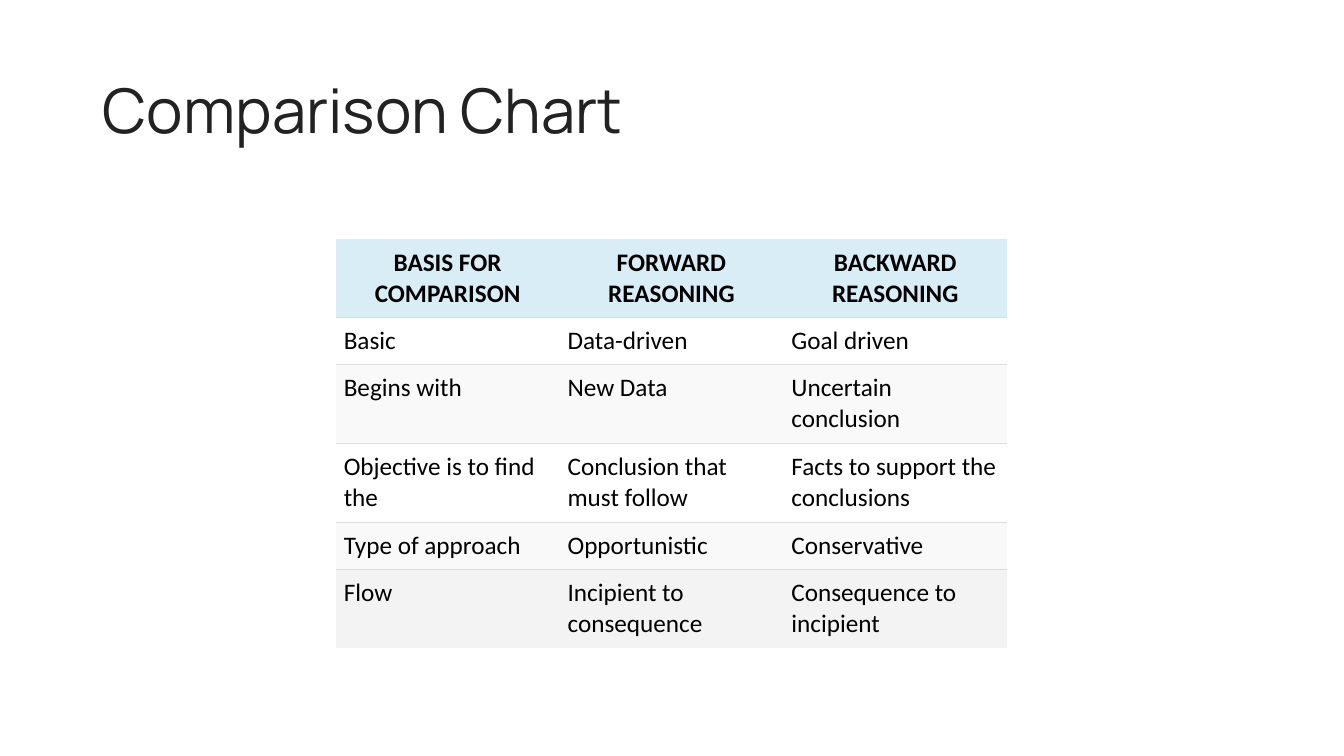
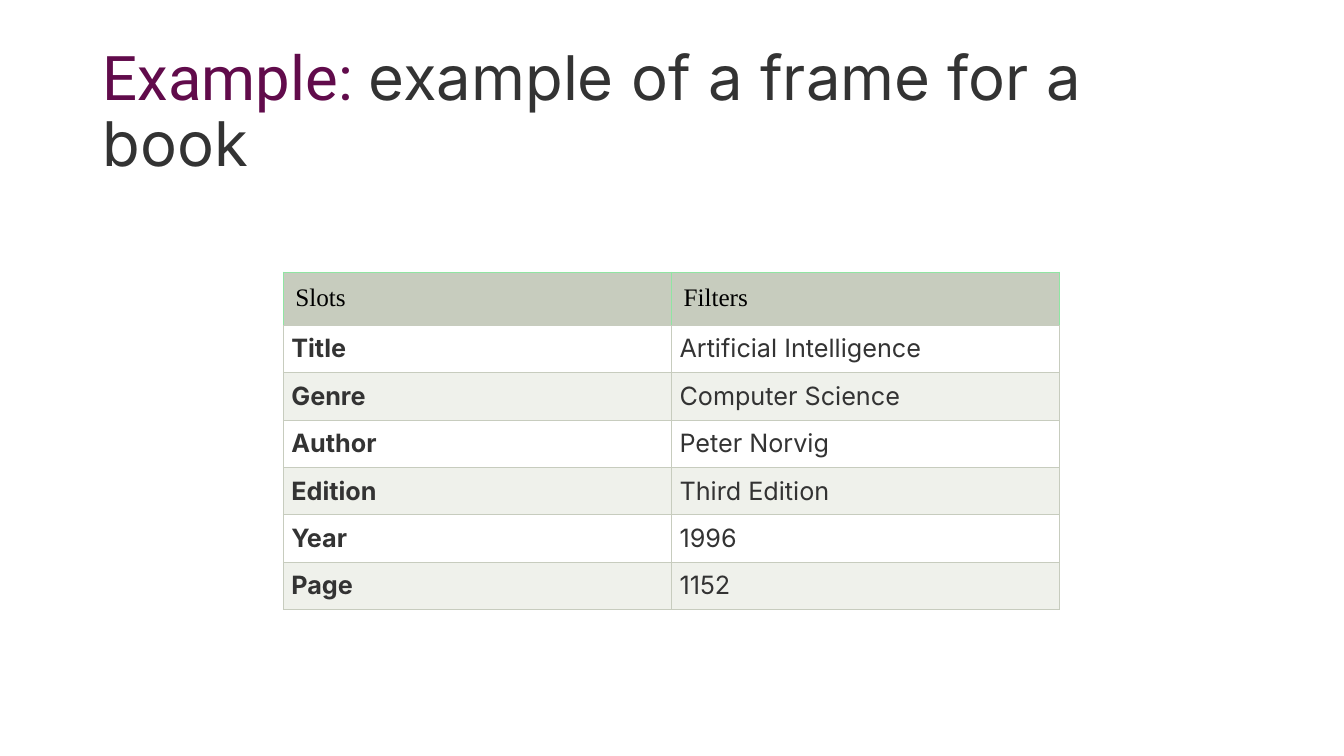
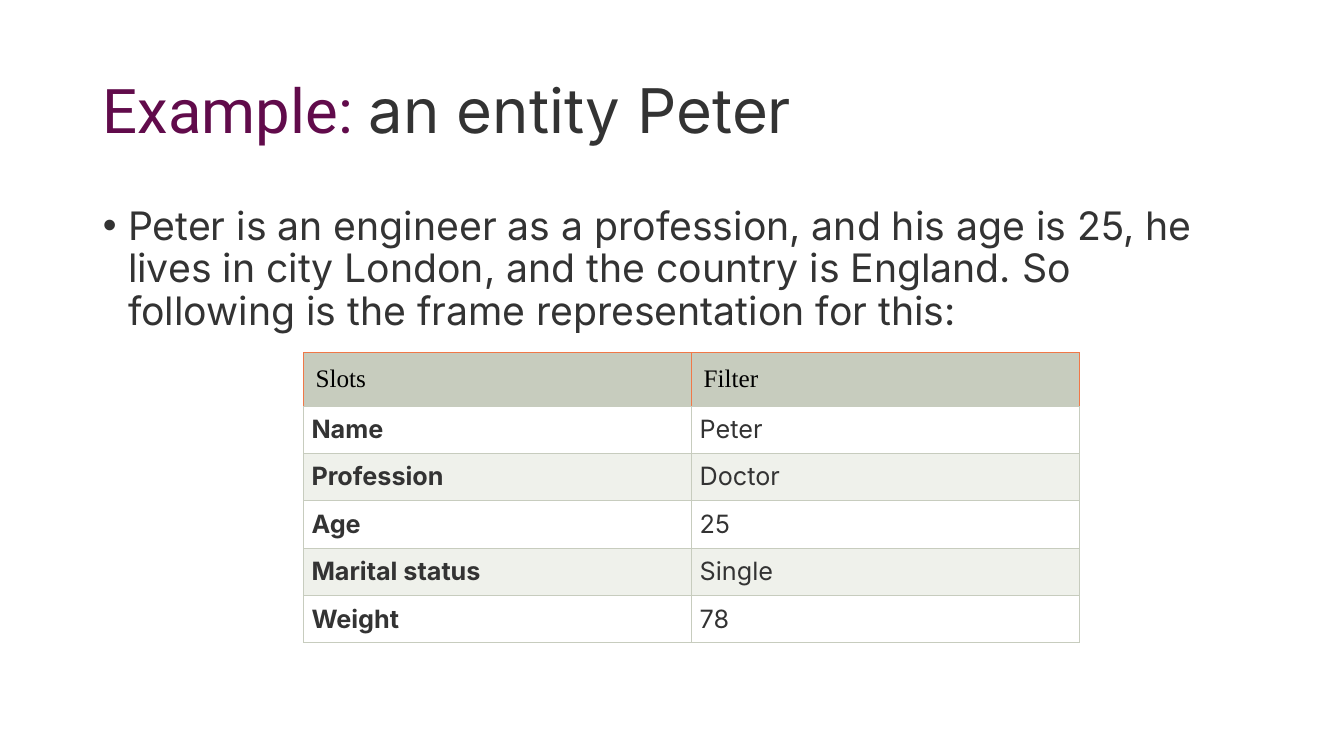
from dataclasses import dataclass
from typing import Optional

from lxml.etree import SubElement
from pptx import Presentation
from pptx.dml.color import RGBColor
from pptx.enum.text import MSO_ANCHOR, MSO_AUTO_SIZE, PP_ALIGN
from pptx.oxml.ns import qn
from pptx.util import Inches, Pt


@dataclass(frozen=True)
class Theme:
    white: str = "FFFFFF"
    black: str = "000000"
    ink: str = "222222"
    text: str = "333333"
    accent: str = "610B4B"
    sky: str = "D9EDF7"
    rule: str = "DDDDDD"
    stripe: str = "F9F9F9"
    last: str = "F3F3F3"
    sage: str = "C7CCBE"
    pale_sage: str = "EFF1EB"
    green: str = "90E5A3"
    orange: str = "F07848"
    title_size: int = 44
    body_size: int = 28
    table_size: int = 18
    border: float = 0.75


THEME = Theme()


@dataclass(frozen=True)
class Font:
    name: str
    size: int
    color: str
    bold: bool = False


@dataclass(frozen=True)
class Span:
    text: str
    font: Font


@dataclass(frozen=True)
class Edges:
    left: Optional[str] = None
    right: Optional[str] = None
    top: Optional[str] = None
    bottom: Optional[str] = None


@dataclass(frozen=True)
class CellStyle:
    font: Font
    fill: str
    edges: Edges
    inset: float = 0.08
    align: PP_ALIGN = PP_ALIGN.LEFT
    anchor: MSO_ANCHOR = MSO_ANCHOR.TOP


@dataclass(frozen=True)
class Row:
    texts: tuple
    styles: tuple
    height: float


TITLE_INK = Font("Manrope", THEME.title_size, THEME.ink)
TITLE_ACCENT = Font("Roboto", THEME.title_size, THEME.accent)
TITLE_TEXT = Font("Inter", THEME.title_size, THEME.text)
BODY_TEXT = Font("Inter", THEME.body_size, THEME.text)
SHORT_ROW, TALL_ROW, HEADER_ROW = 0.47, 0.78, 0.53


def add_run(p, span: Span) -> None:
    r = p.add_run()
    r.text = span.text
    r.font.name = span.font.name
    r.font.size = Pt(span.font.size)
    r.font.bold = span.font.bold
    r.font.color.rgb = RGBColor.from_string(span.font.color)


def fill_placeholder(sp, top: float, height: float, anchor: MSO_ANCHOR, spans: list[Span]):
    sp.left, sp.top = Inches(0.92), Inches(top)
    sp.width, sp.height = Inches(11.5), Inches(height)
    tf = sp.text_frame
    tf.word_wrap = True
    tf.auto_size = MSO_AUTO_SIZE.NONE
    tf.vertical_anchor = anchor
    p = tf.paragraphs[0]
    p.alignment = PP_ALIGN.LEFT
    p.line_spacing = 0.9
    for span in spans:
        add_run(p, span)
    return p


def add_slide(prs, layout: int, title: list[Span]):
    s = prs.slides.add_slide(prs.slide_layouts[layout])
    fill_placeholder(s.shapes.title, 0.4, 1.45, MSO_ANCHOR.MIDDLE, title)
    return s


def add_bullet(s, text: str) -> None:
    p = fill_placeholder(s.placeholders[1], 2, 4.76, MSO_ANCHOR.TOP, [Span(text, BODY_TEXT)])
    p.space_before = Pt(10)
    pPr = p._p.get_or_add_pPr()
    pPr.set("marL", str(Inches(0.25)))
    pPr.set("indent", str(-Inches(0.25)))
    SubElement(pPr, qn("a:buFont"), typeface="Arial")
    SubElement(pPr, qn("a:buChar"), char="•")


def set_edges(cell, edges: Edges) -> None:
    tcPr = cell._tc.get_or_add_tcPr()
    sides = (("L", edges.left), ("R", edges.right), ("T", edges.top), ("B", edges.bottom))
    for side, color in sides:
        ln = SubElement(tcPr, qn(f"a:ln{side}"), w=str(Pt(THEME.border)))
        if color is None:
            SubElement(ln, qn("a:noFill"))
        else:
            fill = SubElement(ln, qn("a:solidFill"))
            SubElement(fill, qn("a:srgbClr"), val=color)


def fill_cell(cell, text: str, style: CellStyle) -> None:
    set_edges(cell, style.edges)
    cell.fill.solid()
    cell.fill.fore_color.rgb = RGBColor.from_string(style.fill)
    inset = Inches(style.inset)
    cell.margin_left = cell.margin_right = cell.margin_top = cell.margin_bottom = inset
    cell.vertical_anchor = style.anchor
    p = cell.text_frame.paragraphs[0]
    p.alignment = style.align
    add_run(p, Span(text, style.font))


def add_grid(s, left: float, top: float, col_width: float, rows: list[Row]) -> None:
    cols = len(rows[0].texts)
    height = sum(row.height for row in rows)
    table = s.shapes.add_table(
        len(rows), cols, Inches(left), Inches(top), Inches(col_width * cols), Inches(height)
    ).table
    table.first_row = table.horz_banding = False
    for col in table.columns:
        col.width = Inches(col_width)
    for i, row in enumerate(rows):
        table.rows[i].height = Inches(row.height)
        for j, (text, style) in enumerate(zip(row.texts, row.styles)):
            fill_cell(table.cell(i, j), text, style)


def comparison_rows(header: tuple, body: list[tuple[tuple, float]]) -> list[Row]:
    head = CellStyle(
        Font("Calibri", THEME.table_size, THEME.black, True), THEME.sky,
        Edges(bottom=THEME.rule), align=PP_ALIGN.CENTER, anchor=MSO_ANCHOR.MIDDLE,
    )
    rows = [Row(header, (head,) * len(header), TALL_ROW)]
    font = Font("Calibri", THEME.table_size, THEME.black)
    for i, (texts, height) in enumerate(body):
        if i == len(body) - 1:
            style = CellStyle(font, THEME.last, Edges(top=THEME.rule))
        else:
            fill = THEME.stripe if i % 2 else THEME.white
            style = CellStyle(font, fill, Edges(top=THEME.rule, bottom=THEME.rule))
        rows.append(Row(texts, (style,) * len(texts), height))
    return rows


def frame_rows(header: tuple, edge: str, body: list[tuple]) -> list[Row]:
    head = CellStyle(
        Font("Times New Roman", THEME.table_size, THEME.black), THEME.sage,
        Edges(edge, edge, edge, THEME.sage), inset=0.12,
    )
    rows = [Row(header, (head, head), HEADER_ROW)]
    box = Edges(THEME.sage, THEME.sage, THEME.sage, THEME.sage)
    for i, texts in enumerate(body):
        fill = THEME.pale_sage if i % 2 else THEME.white
        styles = tuple(
            CellStyle(Font("Inter", THEME.table_size, THEME.text, bold), fill, box,
                      align=PP_ALIGN.JUSTIFY)
            for bold in (True, False)
        )
        rows.append(Row(texts, styles, SHORT_ROW))
    return rows


def add_comparison_slide(prs) -> None:
    s = add_slide(prs, 5, [Span("Comparison Chart", TITLE_INK)])
    add_grid(s, 3.33, 2.37, 2.22, comparison_rows(
        ("BASIS FOR COMPARISON", "FORWARD REASONING", "BACKWARD REASONING"),
        [
            (("Basic", "Data-driven", "Goal driven"), SHORT_ROW),
            (("Begins with", "New Data", "Uncertain conclusion"), TALL_ROW),
            (("Objective is to find the", "Conclusion that must follow",
              "Facts to support the conclusions"), TALL_ROW),
            (("Type of approach", "Opportunistic", "Conservative"), SHORT_ROW),
            (("Flow", "Incipient to consequence", "Consequence to incipient"), TALL_ROW),
        ],
    ))


def add_book_slide(prs) -> None:
    s = add_slide(prs, 5, [
        Span("Example: ", TITLE_ACCENT),
        Span("example of a frame for a book", TITLE_TEXT),
    ])
    add_grid(s, 2.81, 2.7, 3.85, frame_rows(("Slots", "Filters"), THEME.green, [
        ("Title", "Artificial Intelligence"),
        ("Genre", "Computer Science"),
        ("Author", "Peter Norvig"),
        ("Edition", "Third Edition"),
        ("Year", "1996"),
        ("Page", "1152"),
    ]))


def add_entity_slide(prs) -> None:
    s = add_slide(prs, 1, [
        Span("Example: ", TITLE_ACCENT),
        Span("an entity Peter", TITLE_TEXT),
    ])
    add_bullet(s, "Peter is an engineer as a profession, and his age is 25, he lives in city "
                  "London, and the country is England. So following is the frame "
                  "representation for this:")
    add_grid(s, 3.01, 3.5, 3.85, frame_rows(("Slots", "Filter"), THEME.orange, [
        ("Name", "Peter"),
        ("Profession", "Doctor"),
        ("Age", "25"),
        ("Marital status", "Single"),
        ("Weight", "78"),
    ]))


def main() -> None:
    prs = Presentation()
    prs.slide_width, prs.slide_height = Inches(13.33), Inches(7.5)
    add_comparison_slide(prs)
    add_book_slide(prs)
    add_entity_slide(prs)
    prs.save("out.pptx")


if __name__ == "__main__":
    main()
